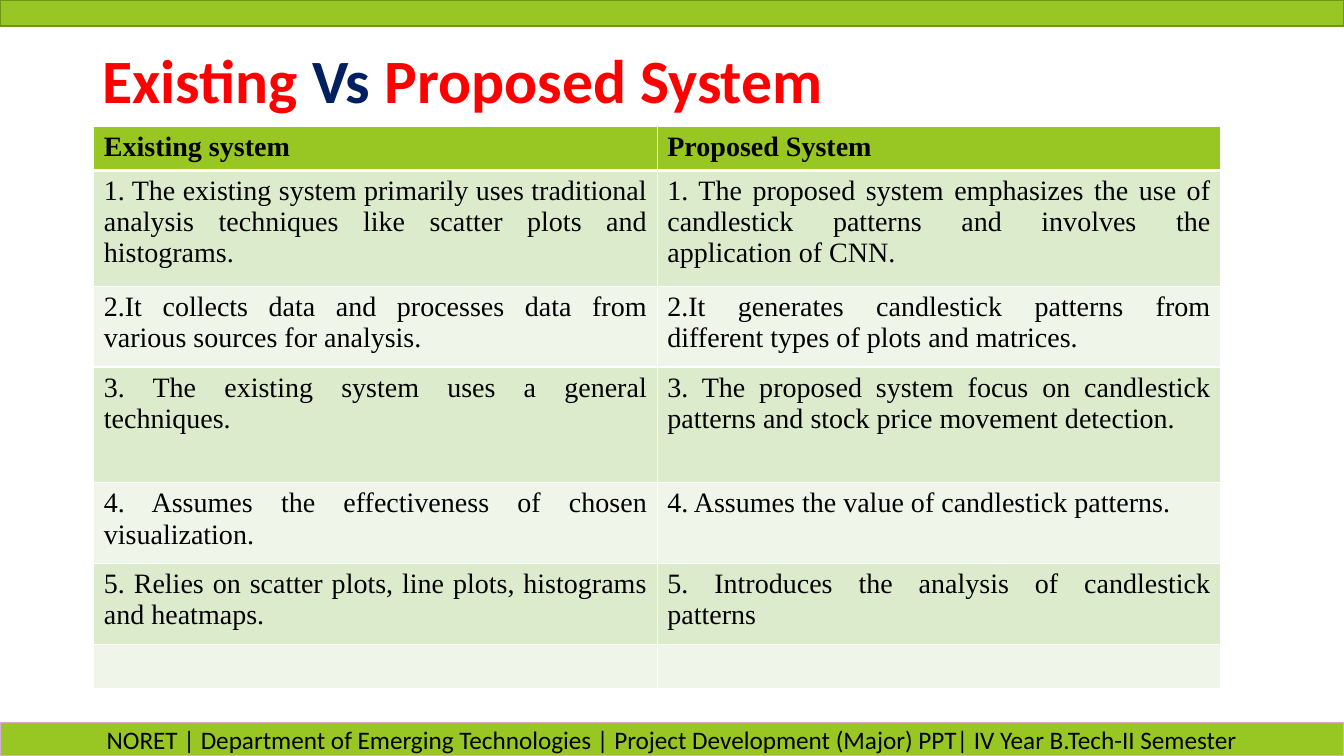
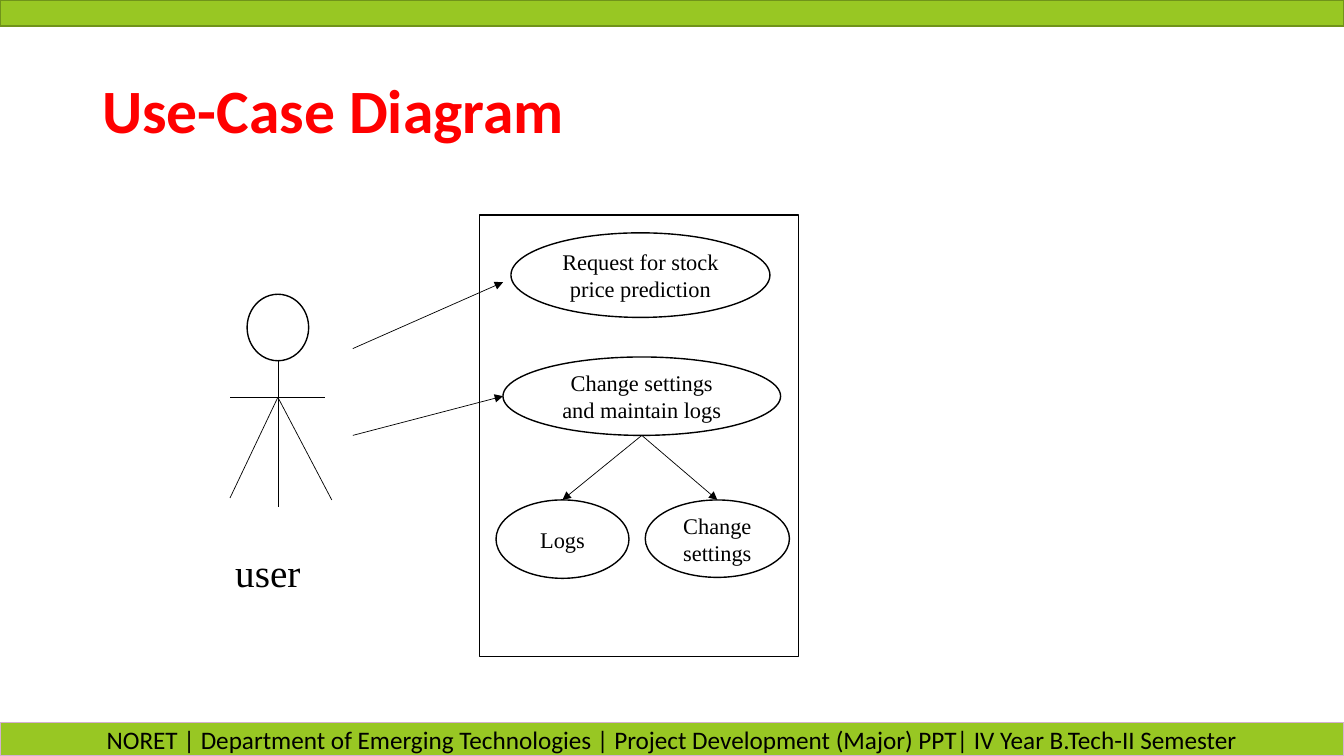
from dataclasses import dataclass
from typing import NamedTuple

from lxml import etree
from pptx import Presentation
from pptx.dml.color import RGBColor
from pptx.enum.shapes import MSO_CONNECTOR, MSO_SHAPE
from pptx.enum.text import MSO_ANCHOR, PP_ALIGN
from pptx.oxml.ns import qn
from pptx.util import Pt

RECT, OVAL = MSO_SHAPE.RECTANGLE, MSO_SHAPE.OVAL
STRAIGHT = MSO_CONNECTOR.STRAIGHT
TOP, MIDDLE = MSO_ANCHOR.TOP, MSO_ANCHOR.MIDDLE
LEFT, CENTER, JUSTIFY = PP_ALIGN.LEFT, PP_ALIGN.CENTER, PP_ALIGN.JUSTIFY


@dataclass(frozen=True)
class Theme:
    green: RGBColor = RGBColor(0x98, 0xC7, 0x23)
    edge: RGBColor = RGBColor(0x70, 0x93, 0x1A)
    pink: RGBColor = RGBColor(0xD4, 0xB0, 0xD2)
    dark: RGBColor = RGBColor(0xDD, 0xEB, 0xCD)
    light: RGBColor = RGBColor(0xEF, 0xF5, 0xE8)
    red: RGBColor = RGBColor(0xFF, 0, 0)
    navy: RGBColor = RGBColor(0, 0x20, 0x60)
    black: RGBColor = RGBColor(0, 0, 0)
    white: RGBColor = RGBColor(0xFF, 0xFF, 0xFF)
    sans: str = "Calibri"
    serif: str = "Times New Roman"
    title: int = 44
    actor: int = 28
    cell: int = 20
    foot: int = 18
    case: int = 16


class Box(NamedTuple):
    x: float
    y: float
    w: float
    h: float

    def points(self):
        return [Pt(v) for v in self]

    @property
    def top(self):
        return self.x + self.w / 2, self.y

    @property
    def base(self):
        return self.x + self.w / 2, self.y + self.h

    @property
    def side(self):
        return self.x, self.y + self.h / 2


class Case(NamedTuple):
    text: str
    box: Box


class Link(NamedTuple):
    start: tuple
    end: tuple
    arrow: bool = False


THEME = Theme()
WIDTH, HEIGHT = 960, 540
FOOTER = ("NORET | Department of Emerging Technologies | "
          "Project Development (Major) PPT| IV Year B.Tech-II Semester")

TABLE = Box(67, 90, 805, 401.8)
HEIGHTS = [31.7, 82.8, 57.6, 82.8, 57.6, 57.6, 31.7]
ROWS = [
    ("Existing system", "Proposed System"),
    ("1. The existing system primarily uses traditional analysis techniques "
     "like scatter plots and histograms.",
     "1. The proposed system emphasizes the use of candlestick patterns and "
     "involves the application of CNN."),
    ("2.It collects data and processes data from various sources for analysis.",
     "2.It generates candlestick patterns from different types of plots and "
     "matrices."),
    ("3. The existing system uses a general techniques.",
     "3. The proposed system focus on candlestick patterns and stock price "
     "movement detection."),
    ("4. Assumes the effectiveness of chosen visualization.",
     "4. Assumes the value of candlestick patterns."),
    ("5. Relies on scatter plots, line plots, histograms and heatmaps.",
     "5. Introduces the analysis of candlestick patterns"),
    ("", ""),
]

FRAME = Box(342.6, 153.6, 228, 315.4)
ASK = Case("Request for stock price prediction", Box(365, 166.3, 185, 60.4))
CHANGE = Case("Change settings and maintain logs", Box(359.3, 255, 198.3, 56))
LOGS = Case("Logs", Box(354.3, 357.1, 95, 56))
SET = Case("Change settings", Box(460.9, 357.1, 103, 55.3))

HEAD = Box(176.5, 210.2, 44, 47.5)
NECK = HEAD.base
CHEST = (NECK[0], 283.8)
USER = Box(168, 391.5, 60, 32)

LINKS = [
    Link(NECK, (NECK[0], 362)),
    Link((164.3, CHEST[1]), (232, CHEST[1])),
    Link(CHEST, (237, 357.1)),
    Link(CHEST, (164.3, 355.7)),
    Link(CHANGE.box.base, SET.box.top, True),
    Link(CHANGE.box.base, LOGS.box.top, True),
    Link((252, 249), (359.3, 201.6), True),
    Link((252, 311), CHANGE.box.side, True),
]


def style(run, face: str, size: int, color: RGBColor, bold: bool = False) -> None:
    font = run.font
    font.name, font.size, font.bold = face, Pt(size), bold
    font.color.rgb = color


def write(frame, text: str, face: str, size: int, align) -> None:
    frame.word_wrap = True
    frame.text = text
    para = frame.paragraphs[0]
    para.alignment = align
    for run in para.runs:
        style(run, face, size, THEME.black)


def add_shape(slide, kind, box: Box, fill: RGBColor, line: RGBColor):
    shape = slide.shapes.add_shape(kind, *box.points())
    shape.shadow.inherit = False
    shape.fill.solid()
    shape.fill.fore_color.rgb = fill
    shape.line.color.rgb = line
    shape.line.width = Pt(1)
    return shape


def add_text(slide, box: Box, inset: float, anchor):
    frame = slide.shapes.add_textbox(*box.points()).text_frame
    frame.word_wrap = True
    frame.vertical_anchor = anchor
    frame.margin_left = frame.margin_right = Pt(inset)
    frame.margin_top = frame.margin_bottom = Pt(inset / 2)
    return frame


def add_slide(deck, height: float, parts: list):
    """Add a slide with both bands and a title of (text, colour) parts."""
    slide = deck.slides.add_slide(deck.slide_layouts[6])
    add_shape(slide, RECT, Box(0, 0, WIDTH, 18.7), THEME.green, THEME.edge)
    band = add_shape(slide, RECT, Box(0, 516, WIDTH, 24), THEME.green, THEME.pink)
    band.text_frame.vertical_anchor = MIDDLE
    write(band.text_frame, FOOTER, THEME.sans, THEME.foot, CENTER)
    frame = add_text(slide, Box(66, 28.8, 828, height), 7.2, MIDDLE)
    para = frame.paragraphs[0]
    para.line_spacing = 0.9
    for text, color in parts:
        run = para.add_run()
        run.text = text
        style(run, THEME.sans, THEME.title, color, True)
    return slide


def add_edges(cell, row: int) -> None:
    """Draw white cell borders, with a thick rule under the header."""
    props = cell._tc.get_or_add_tcPr()
    thick = {(0, "lnB"), (1, "lnT")}
    for spot, tag in enumerate(("lnL", "lnR", "lnT", "lnB")):
        width = Pt(3 if (row, tag) in thick else 1)
        line = etree.Element(qn("a:" + tag), w=str(width))
        fill = etree.SubElement(line, qn("a:solidFill"))
        etree.SubElement(fill, qn("a:srgbClr"), val=str(THEME.white))
        props.insert(spot, line)


def add_grid(slide) -> None:
    table = slide.shapes.add_table(len(ROWS), 2, *TABLE.points()).table
    for col in table.columns:
        col.width = Pt(TABLE.w / 2)
    for i, (texts, height) in enumerate(zip(ROWS, HEIGHTS)):
        table.rows[i].height = Pt(height)
        shade = THEME.green if i == 0 else (THEME.light, THEME.dark)[i % 2]
        for j, text in enumerate(texts):
            cell = table.cell(i, j)
            cell.fill.solid()
            cell.fill.fore_color.rgb = shade
            add_edges(cell, i)
            if text:
                write(cell.text_frame, text, THEME.serif, THEME.cell, JUSTIFY)
                cell.text_frame.paragraphs[0].runs[0].font.bold = i == 0


def add_link(slide, link: Link) -> None:
    ends = [Pt(v) for v in (*link.start, *link.end)]
    wire = slide.shapes.add_connector(STRAIGHT, *ends)
    wire.line.color.rgb = THEME.black
    wire.line.width = Pt(0.5)
    if link.arrow:
        etree.SubElement(wire.line._get_or_add_ln(), qn("a:tailEnd"), type="triangle")
    etree.SubElement(wire._element.spPr, qn("a:effectLst"))


def add_case(slide, case: Case) -> None:
    oval = add_shape(slide, OVAL, case.box, THEME.white, THEME.black)
    oval.text_frame.vertical_anchor = MIDDLE
    write(oval.text_frame, case.text, THEME.serif, THEME.case, CENTER)


def main() -> None:
    deck = Presentation()
    deck.slide_width, deck.slide_height = Pt(WIDTH), Pt(HEIGHT)

    slide = add_slide(deck, 61.2, [("Existing ", THEME.red), ("Vs ", THEME.navy),
                                   ("Proposed System", THEME.red)])
    add_grid(slide)

    slide = add_slide(deck, 104.4, [("Use-Case Diagram", THEME.red)])
    label = add_text(slide, USER, 0, TOP)
    write(label, "user", THEME.serif, THEME.actor, LEFT)
    add_shape(slide, OVAL, HEAD, THEME.white, THEME.black)
    add_shape(slide, RECT, FRAME, THEME.white, THEME.black)
    for case in (ASK, CHANGE, LOGS, SET):
        add_case(slide, case)
    for link in LINKS:
        add_link(slide, link)

    deck.save("out.pptx")


if __name__ == "__main__":
    main()
